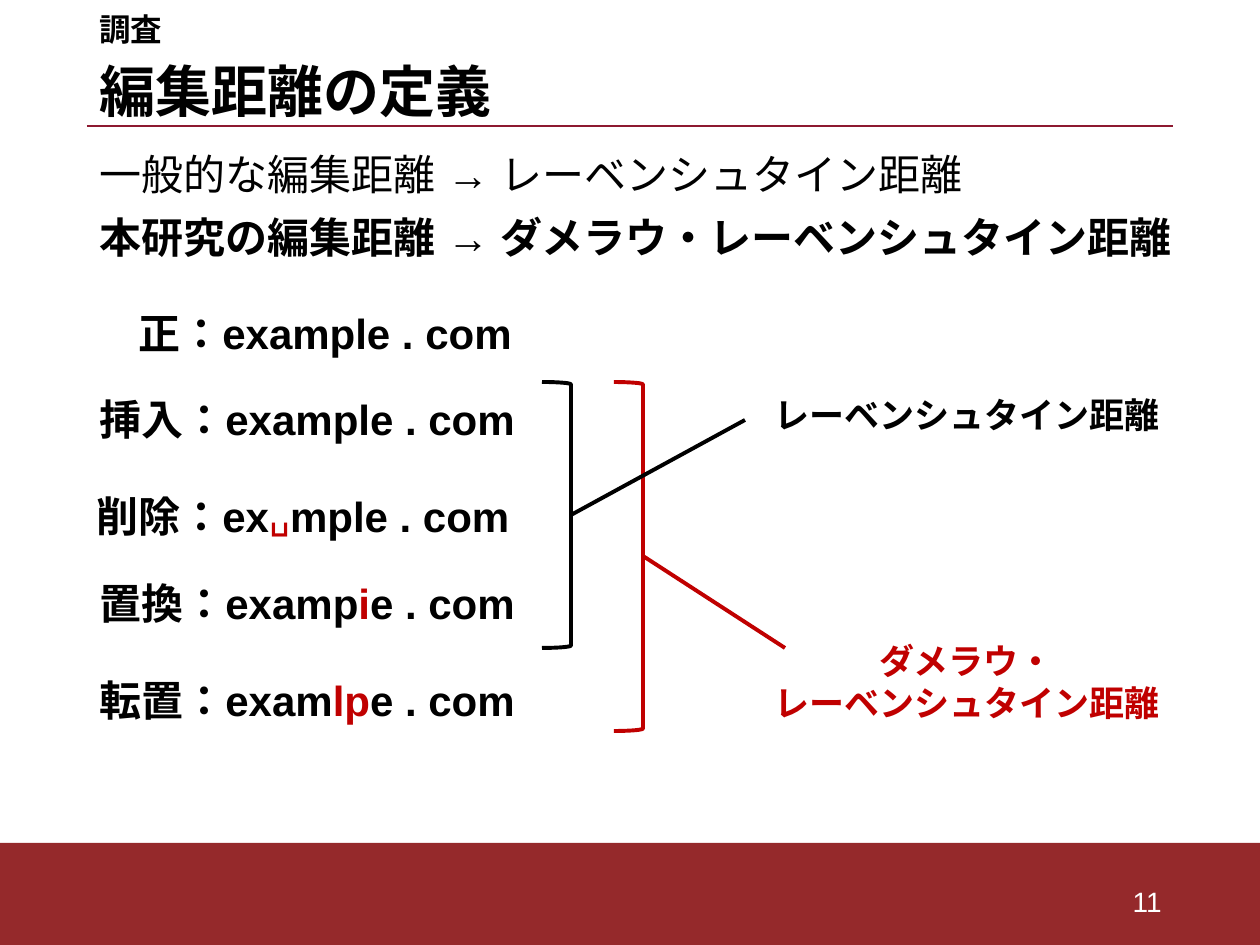
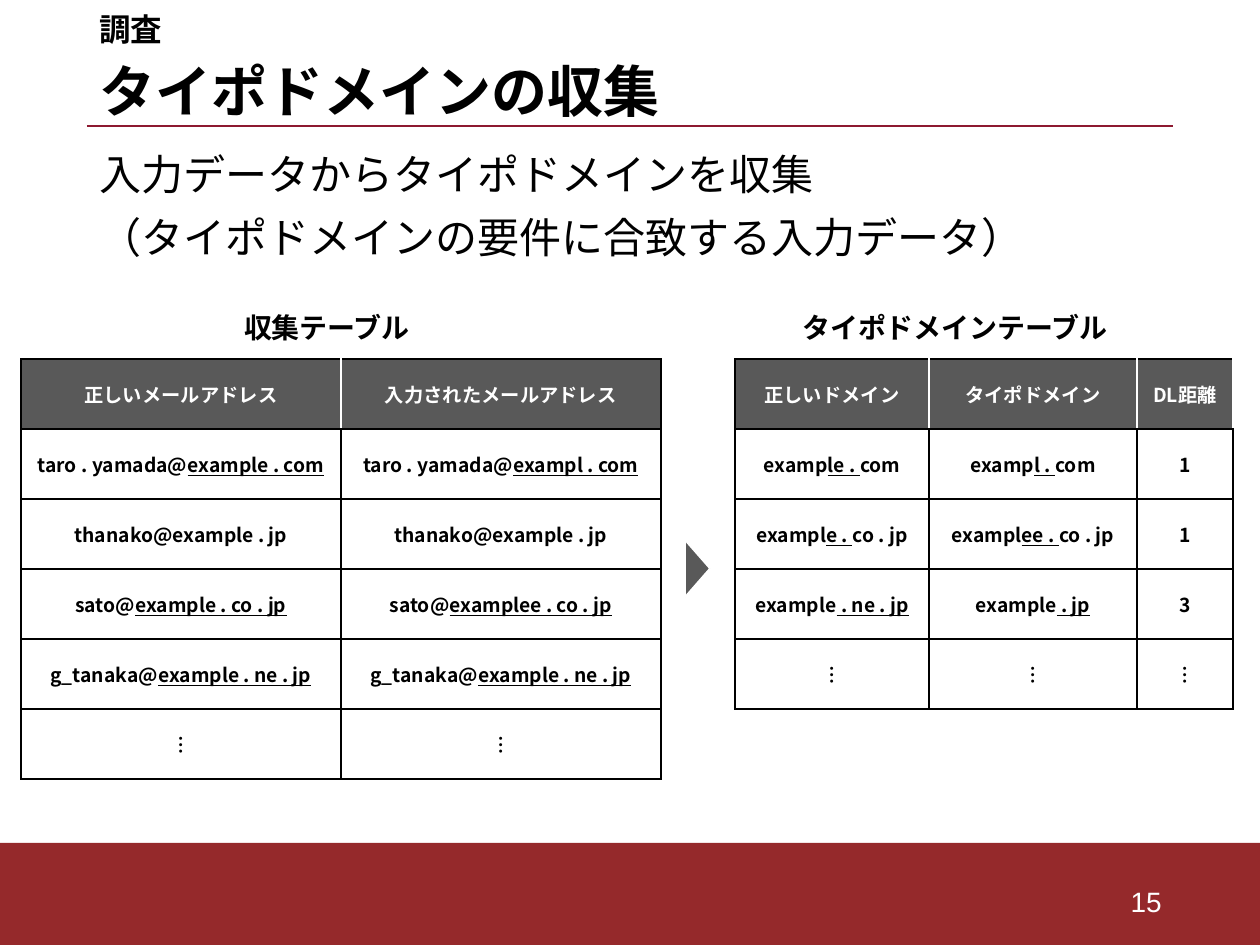
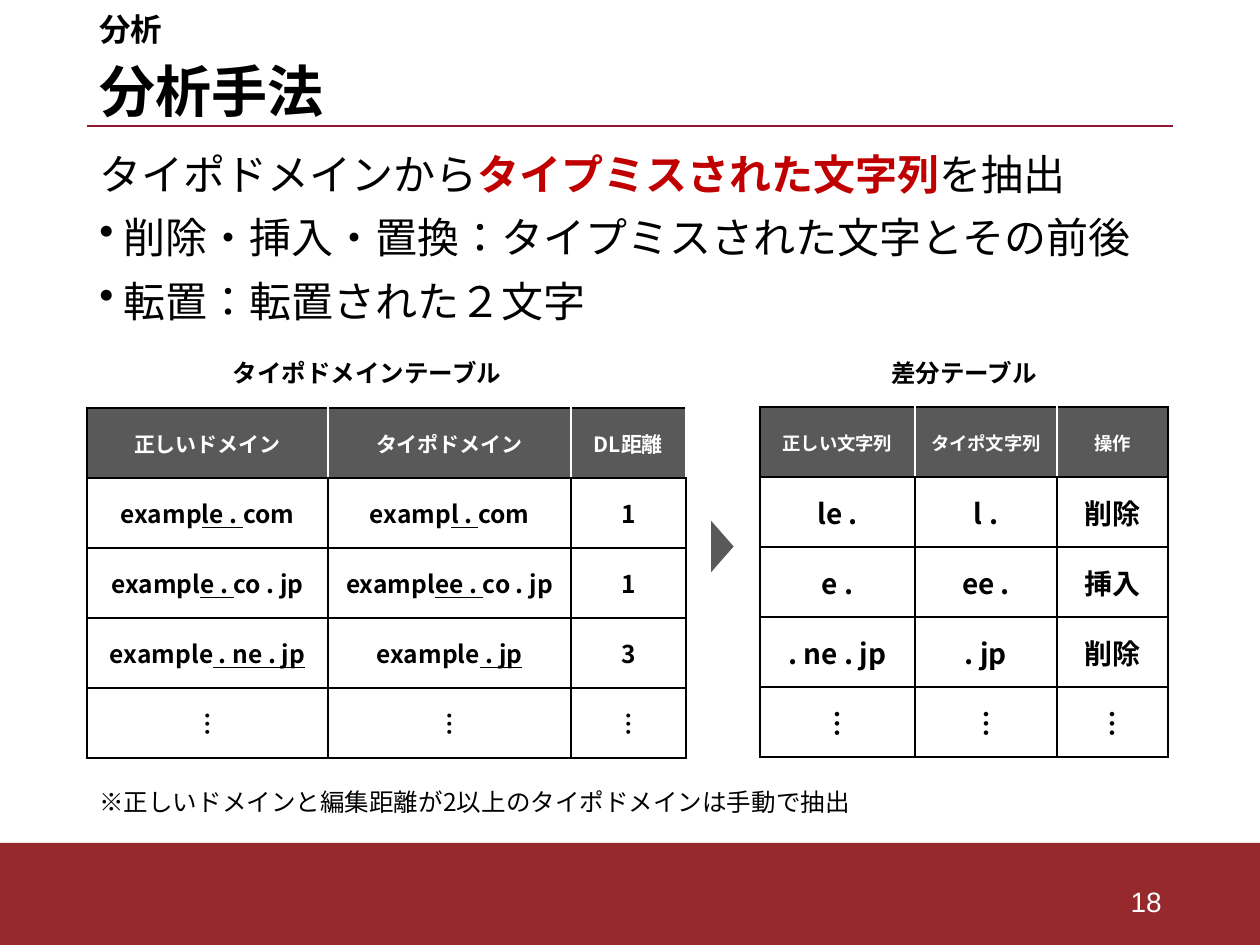
from lxml.etree import SubElement
from pptx import Presentation
from pptx.dml.color import RGBColor
from pptx.enum.lang import MSO_LANGUAGE_ID
from pptx.enum.shapes import MSO_CONNECTOR, MSO_SHAPE
from pptx.enum.text import MSO_ANCHOR, PP_ALIGN
from pptx.oxml.ns import qn
from pptx.util import Emu, Pt

# Style
PX = 914400 / 126
BLACK = RGBColor(0x00, 0x00, 0x00)
WHITE = RGBColor(0xFF, 0xFF, 0xFF)
RED = RGBColor(0xC0, 0x00, 0x00)
MAROON = RGBColor(0x95, 0x29, 0x2B)
RULE = RGBColor(0x8D, 0x19, 0x30)
GRAY = RGBColor(0x59, 0x59, 0x59)
LATIN, CJK = "Arial", "Noto Sans CJK JP"
LEFT, WIDTH, ROW_H = 87, 1086, 70

# Rows of the typo domain table; the part between bars is marked
TYPO_ROWS = [
    ["正しいドメイン", "タイポドメイン", "DL距離"],
    ["examp|le . |com", "examp|l . |com", "1"],
    ["exampl|e . |co . jp", "exampl|ee . |co . jp", "1"],
    ["example| . ne . jp", "example| . jp", "3"],
    ["︙"] * 3,
]


def px(n):
    return Emu(round(n * PX))


def write(p, text, size=24, font=LATIN, color=BLACK, bold=False, mark=None,
          align=None, before=0, spacing=None, bullet=False):
    """Fill a paragraph; every second part between bars takes the mark format."""
    pPr = p._p.get_or_add_pPr()
    if bullet:
        pPr.set("marL", str(px(24)))
        pPr.set("indent", str(px(-24)))
        SubElement(pPr, qn("a:buChar")).set("char", "•")
    p.alignment = align
    p.space_before = Pt(before)
    p.line_spacing = spacing
    for i, part in enumerate(text.split("|")):
        style = {"color": color, "bold": bold, "underline": False}
        if i % 2:
            style.update(mark)
        for j, line in enumerate(part.split("\n")):
            if j:
                p.add_line_break()
            r = p.add_run()
            r.text = line
            r.font.size, r.font.name = Pt(size), font
            r.font.bold, r.font.underline = style["bold"], style["underline"]
            r.font.color.rgb = style["color"]
            r.font.language_id = MSO_LANGUAGE_ID.JAPANESE
            SubElement(r._r.rPr, qn("a:ea")).set("typeface", font)


class Deck:
    def __init__(self):
        self.prs = Presentation()
        self.prs.slide_width, self.prs.slide_height = px(1260), px(945)
        self.s = None

    def slide(self, section, title, number):
        self.s = self.prs.slides.add_slide(self.prs.slide_layouts[6])
        self.shape(MSO_SHAPE.RECTANGLE, 0, 843, 1260, 102, fill=MAROON)
        self.line(LEFT, 126, LEFT + WIDTH, 126, RULE, 1.5)
        self.text(890, 876, 284, 50, number, anchor=MSO_ANCHOR.MIDDLE,
                  size=16, color=WHITE, align=PP_ALIGN.RIGHT)
        self.text(LEFT, 54, WIDTH, 81, title, anchor=MSO_ANCHOR.MIDDLE,
                  size=32, bold=True, spacing=0.9)
        self.text(LEFT, 4, WIDTH, 50, section, size=18, bold=True)

    def frame(self, x, y, w, h, anchor=MSO_ANCHOR.TOP):
        tf = self.s.shapes.add_textbox(px(x), px(y), px(w), px(h)).text_frame
        tf.word_wrap = True
        tf.vertical_anchor = anchor
        return tf

    def text(self, x, y, w, h, text, anchor=MSO_ANCHOR.TOP, **fmt):
        write(self.frame(x, y, w, h, anchor).paragraphs[0], text, **fmt)

    def body(self, *paragraphs, w=WIDTH):
        tf = self.frame(LEFT, 142, w, 688)
        for i, (text, fmt) in enumerate(paragraphs):
            p = tf.add_paragraph() if i else tf.paragraphs[0]
            write(p, text, before=7.5 if i else 0, **fmt)

    def caption(self, x, y, w, text, size):
        self.text(x, y, w, 45, text, size=size, font=CJK, bold=True,
                  align=PP_ALIGN.CENTER)

    def shape(self, kind, x, y, w, h, fill=None, line=None, weight=1):
        sp = self.s.shapes.add_shape(kind, px(x), px(y), px(w), px(h))
        sp.shadow.inherit = False
        for paint, color in ((sp.fill, fill), (sp.line.fill, line)):
            if color is None:
                paint.background()
            else:
                paint.solid()
                paint.fore_color.rgb = color
        if line is not None:
            sp.line.width = Pt(weight)
        return sp

    def line(self, x1, y1, x2, y2, color, weight):
        c = self.s.shapes.add_connector(MSO_CONNECTOR.STRAIGHT,
                                        px(x1), px(y1), px(x2), px(y2))
        c.line.color.rgb, c.line.width = color, Pt(weight)
        SubElement(c._element.spPr, qn("a:effectLst"))

    def bracket(self, y, x, h, color, tip):
        """Right bracket with a leader from its middle to the tip."""
        self.shape(MSO_SHAPE.RIGHT_BRACKET, x, y, 29, h, line=color, weight=2.25)
        self.line(x + 29, y + h // 2, *tip, color, 2.25)

    def arrow(self, x, y):
        sp = self.shape(MSO_SHAPE.ISOSCELES_TRIANGLE, x, y, 57, 25, GRAY, WHITE)
        sp.rotation = 90

    def borders(self, cell, **colors):
        tcPr = cell._tc.get_or_add_tcPr()
        for side in "LRTB":
            ln = SubElement(tcPr, qn("a:ln" + side), w=str(Pt(1)))
            fill = SubElement(ln, qn("a:solidFill"))
            SubElement(fill, qn("a:srgbClr"), val=str(colors.get(side, BLACK)))

    def table(self, x, y, cols, rows, head_size, size, head_end=BLACK):
        tbl = self.s.shapes.add_table(len(rows), len(cols), px(x), px(y),
                                      px(sum(cols)), px(ROW_H * len(rows))).table
        tbl.first_row = tbl.horz_banding = False
        for col, w in zip(tbl.columns, cols):
            col.width = px(w)
        for i, row in enumerate(rows):
            tbl.rows[i].height = px(ROW_H)
            for j, text in enumerate(row):
                cell = tbl.cell(i, j)
                cell.vertical_anchor = MSO_ANCHOR.MIDDLE
                if i == 0:
                    self.borders(cell, L=WHITE if j else BLACK,
                                 R=WHITE if j < len(cols) - 1 else head_end)
                    cell.fill.solid()
                    cell.fill.fore_color.rgb = GRAY
                else:
                    self.borders(cell)
                    cell.fill.background()
                write(cell.text_frame.paragraphs[0], text, font=CJK, bold=True,
                      size=size if i else head_size,
                      color=BLACK if i else WHITE,
                      mark={"underline": True}, align=PP_ALIGN.CENTER)


def edit_distance(deck):
    deck.slide("調査", "編集距離の定義", "11")
    deck.body(("一般的な編集距離 → レーベンシュタイン距離", {}),
              ("本研究の編集距離 → ダメラウ・レーベンシュタイン距離", {"bold": True}),
              w=1142)

    # Examples of each operation
    red = {"color": RED}
    for x, y, text, mark in [
        (126, 301, "正：example . com", None),
        (87, 387, "挿入：example . com", None),
        (84, 484, "削除：ex|␣|mple . com", {"color": RED, "bold": False}),
        (87, 571, "置換：examp|i|e . com", red),
        (87, 668, "転置：exam|lp|e . com", red),
    ]:
        deck.text(x, y, 466, 63, text, bold=True, mark=mark)

    # Brackets and the distances they stand for
    deck.bracket(382, 614, 349, RED, (785, 648))
    deck.bracket(382, 542, 266, BLACK, (745, 420))
    for y, h, text, color in [
        (387, 55, "レーベンシュタイン距離", BLACK),
        (633, 97, "ダメラウ・\nレーベンシュタイン距離", RED),
    ]:
        deck.text(722, y, 490, h, text, size=20, bold=True, color=color,
                  align=PP_ALIGN.CENTER)


def typo_collection(deck):
    deck.slide("調査", "タイポドメインの収集", "15")
    deck.body(("入力データからタイポドメインを収集", {}),
              ("（タイポドメインの要件に合致する入力データ）", {}))
    collected = [
        ["正しいメールアドレス", "入力されたメールアドレス"],
        ["taro . yamada@|example . com", "taro . yamada@|exampl . com"],
        ["thanako@example . jp"] * 2,
        ["sato@|example . co . jp", "sato@|examplee . co . jp"],
        ["g_tanaka@|example . ne . jp"] * 2,
        ["︙"] * 2,
    ]
    deck.table(21, 359, [320, 320], collected, 11, 11)
    deck.table(735, 359, [194, 208, 96], TYPO_ROWS, 11, 11, head_end=WHITE)
    deck.arrow(669, 556)
    deck.caption(154, 304, 346, "収集テーブル", 16)
    deck.caption(706, 304, 498, "タイポドメインテーブル", 16)


def analysis_method(deck):
    deck.slide("分析", "分析手法", "18")
    deck.body(("タイポドメインから|タイプミスされた文字列|を抽出",
               {"mark": {"color": RED, "bold": True}}),
              ("削除・挿入・置換：タイプミスされた文字とその前後", {"bullet": True}),
              ("転置：転置された２文字", {"bullet": True}))
    differences = [
        ["正しい文字列", "タイポ文字列", "操作"],
        ["le .", "l .", "削除"],
        ["e .", "ee .", "挿入"],
        [". ne . jp", ". jp", "削除"],
        ["︙"] * 3,
    ]
    deck.table(87, 408, [241, 243, 115], TYPO_ROWS, 12, 14, head_end=WHITE)
    deck.table(760, 407, [155, 142, 111], differences, 10.5, 16)
    deck.arrow(694, 534)
    deck.caption(118, 352, 498, "タイポドメインテーブル", 14)
    deck.caption(760, 352, 408, "差分テーブル", 14)
    deck.text(LEFT, 781, WIDTH, 43, size=14, font=CJK,
              text="※正しいドメインと編集距離が2以上のタイポドメインは手動で抽出")


def main():
    deck = Deck()
    edit_distance(deck)
    typo_collection(deck)
    analysis_method(deck)
    deck.prs.save("out.pptx")


if __name__ == "__main__":
    main()
